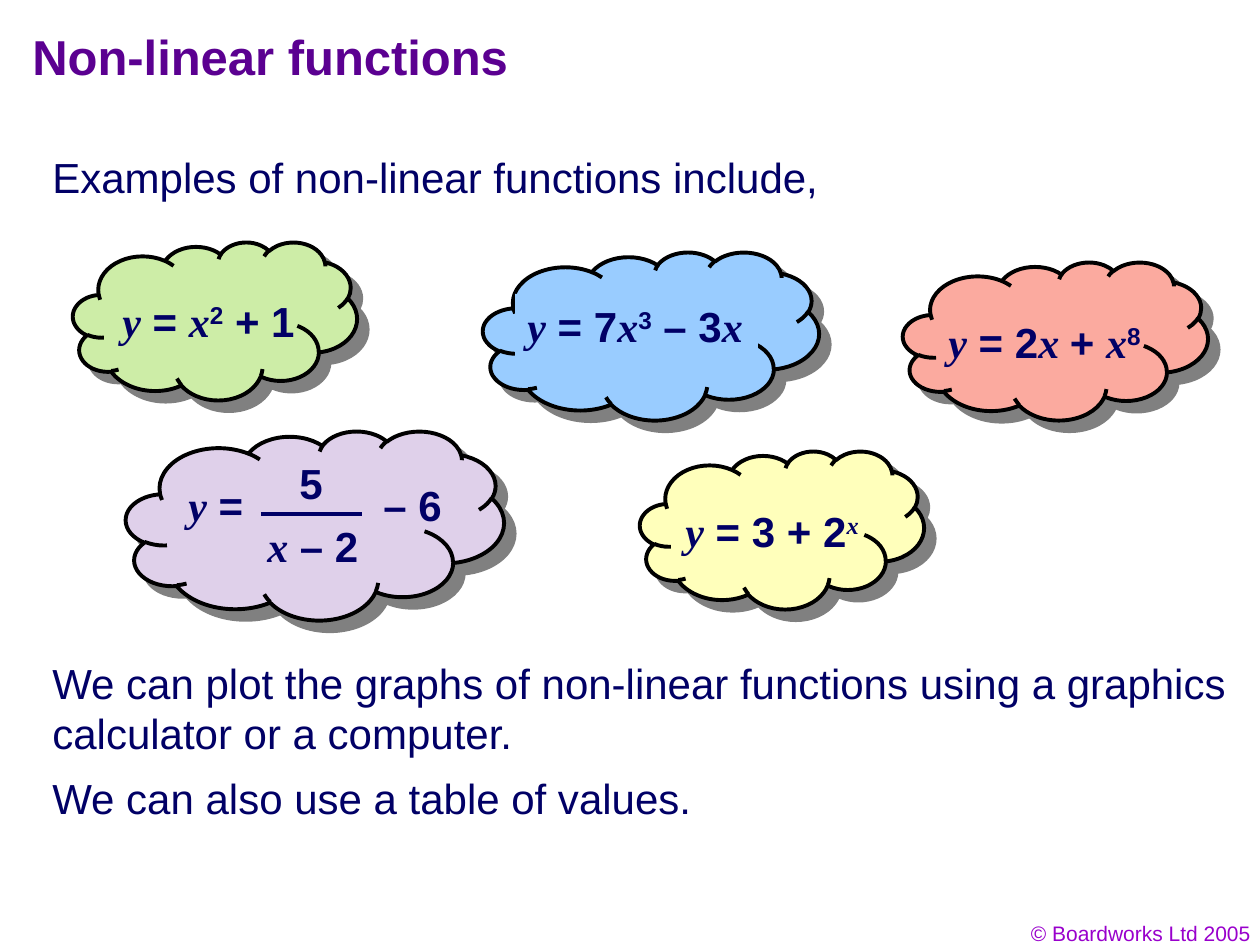
from dataclasses import dataclass
from typing import NamedTuple

from lxml import etree
from pptx import Presentation, util as u
from pptx.dml.color import RGBColor
from pptx.enum import shapes, text
from pptx.oxml.ns import qn

PX = 914400 / 126
SANS, SERIF = "Arial", "Times New Roman"

PURPLE = RGBColor(0x5B, 0x00, 0x91)
VIOLET = RGBColor(0x99, 0x00, 0xCC)
NAVY = RGBColor(0x01, 0x00, 0x66)
RULE_NAVY = RGBColor(0x00, 0x00, 0x66)
BLACK = RGBColor(0x00, 0x00, 0x00)
GREEN = RGBColor(0xCD, 0xED, 0xA7)
YELLOW = RGBColor(0xFF, 0xFF, 0xBB)
BLUE = RGBColor(0x99, 0xCC, 0xFF)
LILAC = RGBColor(0xDF, 0xD0, 0xEA)
PINK = RGBColor(0xFB, 0xAA, 0x9F)
SHADOW_GREY = RGBColor(0x80, 0x80, 0x80)


class Box(NamedTuple):
    left: int
    top: int
    width: int
    height: int


class Term(NamedTuple):
    text: str
    variable: bool = False
    raised: bool = False


@dataclass
class Formula:
    box: Box
    terms: list[Term]
    fill: RGBColor | None = None
    tab: int | None = None


@dataclass
class Cloud:
    box: Box
    fill: RGBColor
    formulas: list[Formula]


Y = Term("y", variable=True)
X = Term("x", variable=True)

CLOUDS = [
    Cloud(Box(73, 242, 284, 158), GREEN, [
        Formula(Box(110, 289, 210, 63),
                [Y, Term(" = "), X, Term("2", raised=True), Term(" + 1")]),
    ]),
    Cloud(Box(640, 451, 284, 158), YELLOW, [
        Formula(Box(673, 499, 210, 63),
                [Y, Term(" = 3 + 2"), Term("x", variable=True, raised=True)]),
    ]),
    Cloud(Box(483, 252, 336, 168), BLUE, [
        Formula(Box(515, 294, 243, 63),
                [Y, Term(" = 7"), X, Term("3", raised=True), Term(" – 3"), X],
                fill=BLUE),
    ]),
    Cloud(Box(126, 431, 378, 189), LILAC, [
        Formula(Box(176, 473, 295, 63), [Y, Term(" =\t– 6")], tab=195),
        Formula(Box(287, 451, 54, 63), [Term("5")]),
        Formula(Box(255, 514, 126, 63), [X, Term(" – 2")]),
    ]),
    Cloud(Box(903, 262, 305, 158), PINK, [
        Formula(Box(936, 310, 230, 63),
                [Y, Term(" = 2"), Term("x ", variable=True), Term("+ "), X,
                 Term("8", raised=True)]),
    ]),
]

BODY = [
    (Box(40, 145, 1200, 63), "Examples of non-linear functions include,"),
    (Box(40, 651, 1200, 113),
     "We can plot the graphs of non-linear functions using a graphics "
     "calculator or a computer."),
    (Box(40, 766, 1200, 63), "We can also use a table of values."),
]


def px(length: int) -> u.Emu:
    return u.Emu(round(length * PX))


def place(box: Box) -> list[u.Emu]:
    return [px(length) for length in box]


def add_text(slide, box: Box, terms: list[Term], *, size: int = 24,
             color: RGBColor = NAVY, bold: bool = False, grow: bool = True,
             align=text.PP_ALIGN.LEFT, fill: RGBColor | None = None,
             tab: int | None = None) -> None:
    shape = slide.shapes.add_textbox(*place(box))
    if fill is not None:
        shape.fill.solid()
        shape.fill.fore_color.rgb = fill
    frame = shape.text_frame
    frame.word_wrap = True
    if grow:
        frame.auto_size = text.MSO_AUTO_SIZE.SHAPE_TO_FIT_TEXT
    paragraph = frame.paragraphs[0]
    paragraph.alignment = align
    if tab is not None:
        tabs = etree.SubElement(paragraph._p.get_or_add_pPr(), qn("a:tabLst"))
        etree.SubElement(tabs, qn("a:tab"), pos=str(px(tab)), algn="l")
    for term in terms:
        run = paragraph.add_run()
        run.text = term.text
        font = run.font
        font.name = SERIF if term.variable else SANS
        font.size = u.Pt(size)
        font.bold = bold
        font.italic = term.variable
        font.color.rgb = color
        if term.raised:
            run._r.get_or_add_rPr().set("baseline", "30000")


def add_hard_shadow(shape) -> None:
    effects = etree.SubElement(shape._element.spPr, qn("a:effectLst"))
    shadow = etree.SubElement(effects, qn("a:outerShdw"), dist=str(u.Pt(8.5)),
                              dir="2700000", algn="ctr", rotWithShape="0")
    etree.SubElement(shadow, qn("a:srgbClr"), val=str(SHADOW_GREY))


def add_cloud(slide, cloud: Cloud) -> None:
    shape = slide.shapes.add_shape(shapes.MSO_SHAPE.CLOUD, *place(cloud.box))
    shape.fill.solid()
    shape.fill.fore_color.rgb = cloud.fill
    shape.line.color.rgb = BLACK
    shape.line.width = u.Pt(2.25)
    add_hard_shadow(shape)
    for formula in cloud.formulas:
        add_text(slide, formula.box, formula.terms, bold=True,
                 fill=formula.fill, tab=formula.tab)


def add_fraction_bar(slide, left: int, right: int, y: int) -> None:
    bar = slide.shapes.add_connector(shapes.MSO_CONNECTOR.STRAIGHT,
                                     px(left), px(y), px(right), px(y))
    bar.line.color.rgb = RULE_NAVY
    bar.line.width = u.Pt(2.25)
    etree.SubElement(bar._element.spPr, qn("a:effectLst"))


def main() -> None:
    presentation = Presentation()
    presentation.slide_width, presentation.slide_height = px(1260), px(945)
    slide = presentation.slides.add_slide(presentation.slide_layouts[6])

    add_text(slide, Box(969, 914, 294, 38), [Term("© Boardworks Ltd 2005")],
             size=12, color=VIOLET, align=text.PP_ALIGN.RIGHT)
    add_text(slide, Box(20, 20, 1071, 84), [Term("Non-linear functions")],
             size=28, color=PURPLE, bold=True, grow=False)
    for box, sentence in BODY:
        add_text(slide, box, [Term(sentence)])
    for cloud in CLOUDS:
        add_cloud(slide, cloud)
    add_fraction_bar(slide, 261, 362, 514)

    presentation.save("out.pptx")


if __name__ == "__main__":
    main()
